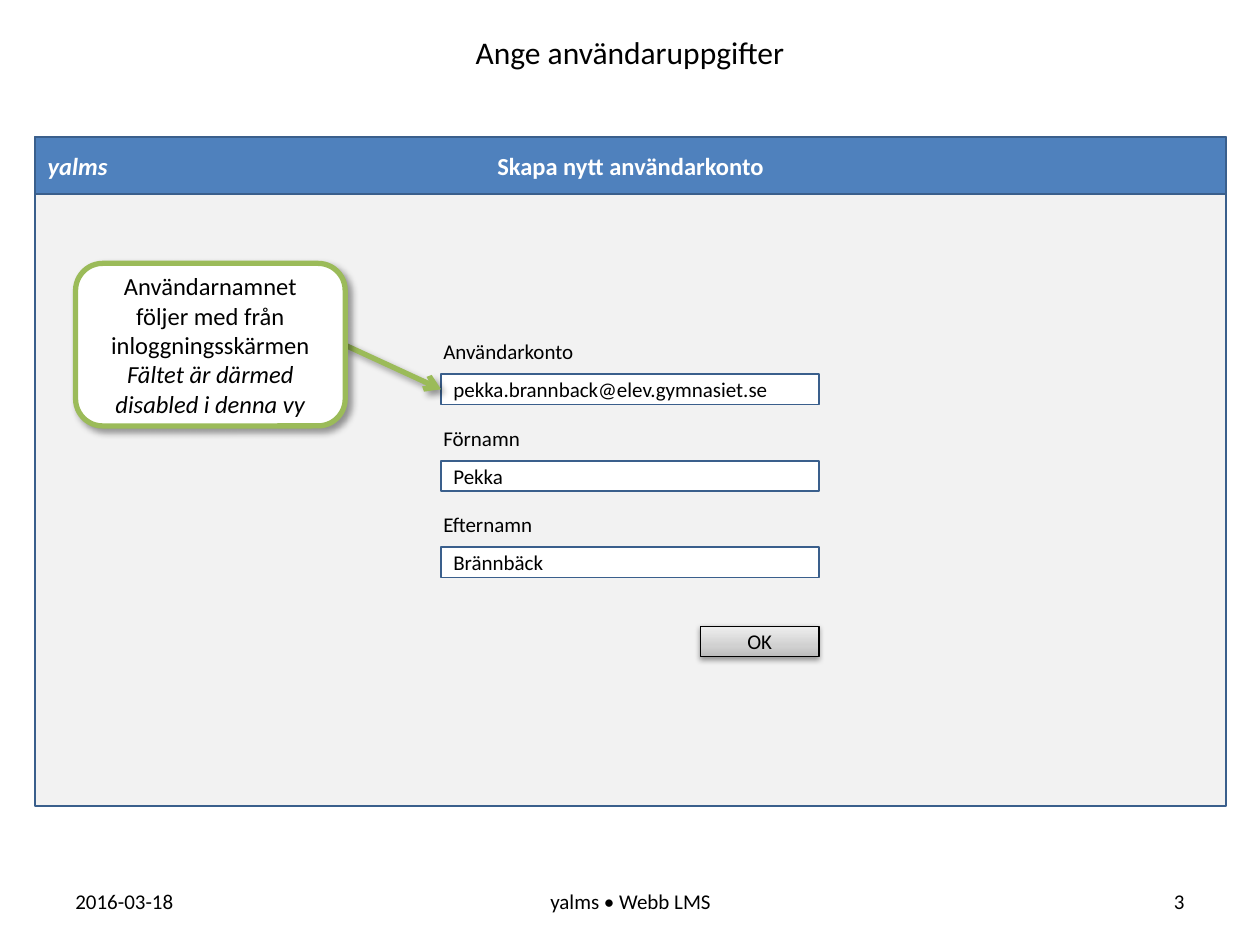
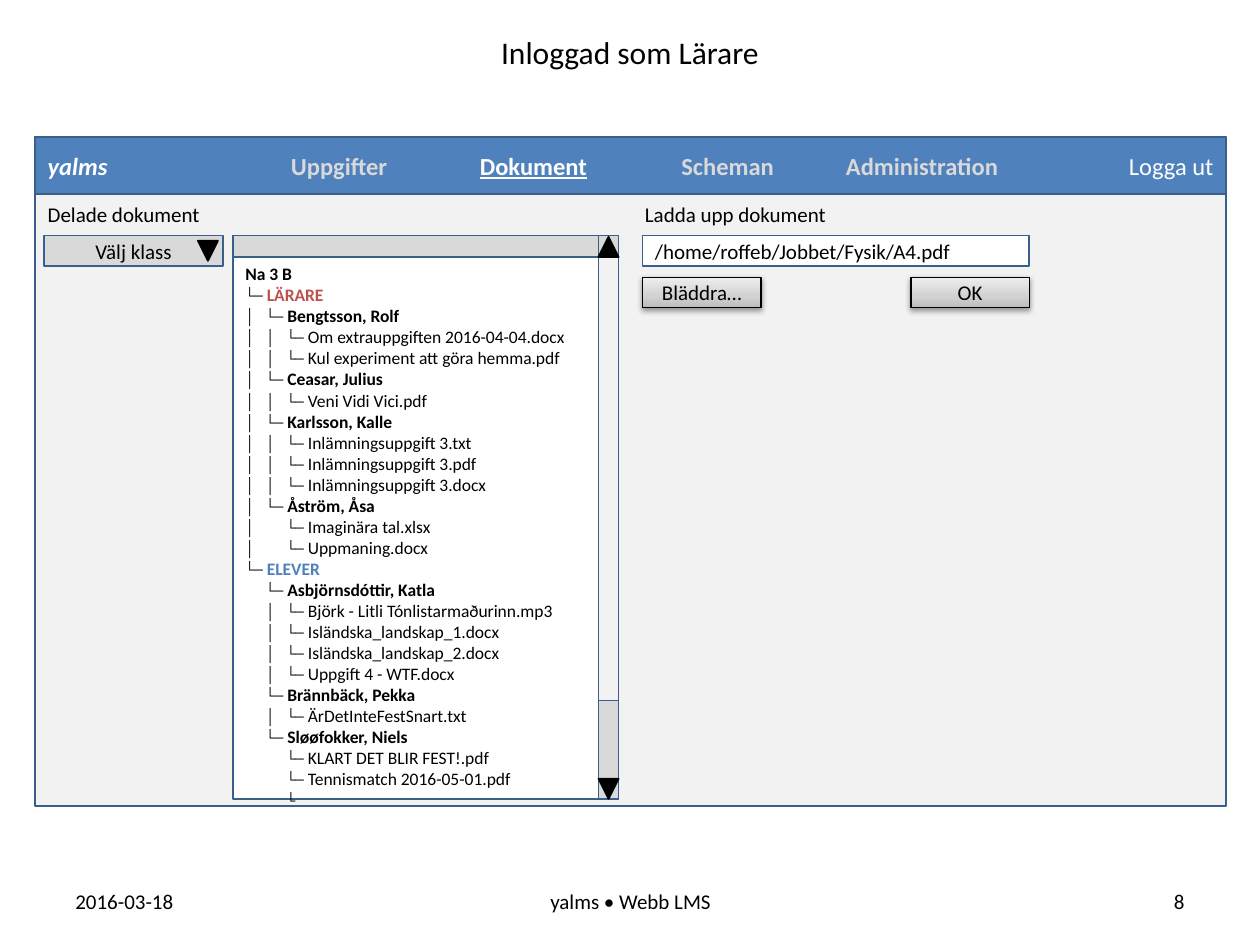
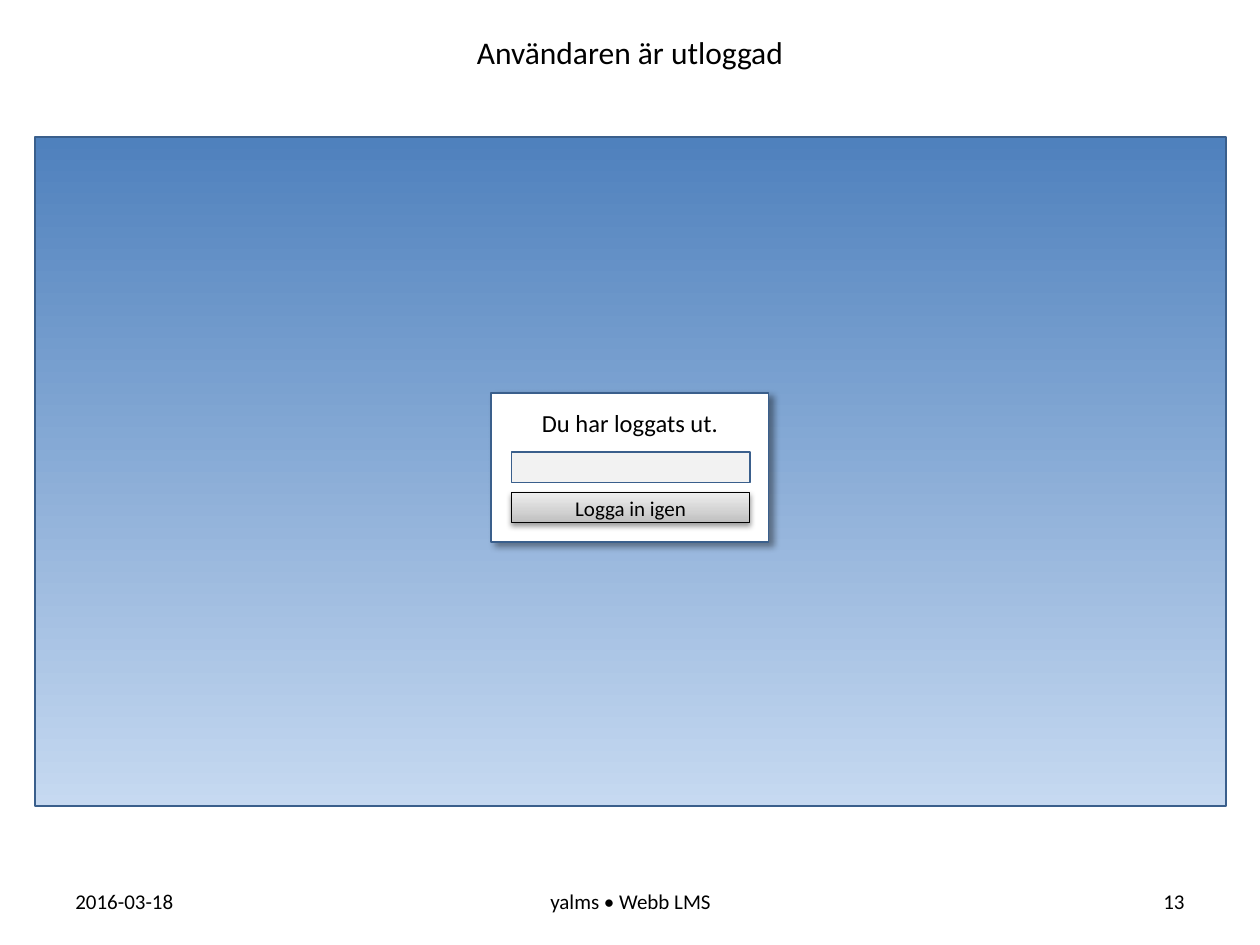
from lxml.etree import SubElement
from pptx import Presentation
from pptx.dml.color import RGBColor
from pptx.enum.shapes import MSO_CONNECTOR, MSO_SHAPE
from pptx.enum.text import MSO_ANCHOR, PP_ALIGN
from pptx.oxml.ns import qn
from pptx.util import Inches, Pt

# Shared look
BLACK = RGBColor(0x00, 0x00, 0x00)
WHITE = RGBColor(0xFF, 0xFF, 0xFF)
PALE = RGBColor(0xF2, 0xF2, 0xF2)
SILVER = RGBColor(0xD9, 0xD9, 0xD9)
GRAY = RGBColor(0x80, 0x80, 0x80)
BLUE = RGBColor(0x4F, 0x81, 0xBD)
NAVY = RGBColor(0x3A, 0x5F, 0x8C)
SKY = RGBColor(0xC6, 0xD9, 0xF1)
GREEN = RGBColor(0x9B, 0xBB, 0x59)
RED = RGBColor(0xC0, 0x50, 0x4D)
BUTTON_STOPS = [(0, RGBColor(0xBD, 0xBD, 0xBD)),
                (35, RGBColor(0xD1, 0xD1, 0xD1)),
                (100, RGBColor(0xEE, 0xEE, 0xEE))]
FONT = "Calibri"
LEFT, CENTER, RIGHT = PP_ALIGN.LEFT, PP_ALIGN.CENTER, PP_ALIGN.RIGHT
# Shadows: opacity in %, blur and distance in points, direction in degrees
SOFT = (38, 3.1, 1.6, 90)
DEEP = (40, 4, 3, 45)

# Grid of 100 columns by 75 rows; each cell is a tenth of an inch
COLS, ROWS = 100, 75
CELL = Inches(10) // COLS
PANEL = (2.8, 10.9, 94.5, 53.1)
BAR_H = 4.5
FIELD_H = 2.4
BUTTON_W = 9.4
ARROW = 1.6      # scroll bar width and triangle size
TAB = 0.163      # inches for each level of the tree

# Children follow each name; a file has none
TREE = ("Na 3 B", [
    ("LÄRARE", [
        ("Bengtsson, Rolf", ["Om extrauppgiften 2016-04-04.docx",
                             "Kul experiment att göra hemma.pdf"]),
        ("Ceasar, Julius", ["Veni Vidi Vici.pdf"]),
        ("Karlsson, Kalle", ["Inlämningsuppgift 3.txt",
                             "Inlämningsuppgift 3.pdf",
                             "Inlämningsuppgift 3.docx"]),
        ("Åström, Åsa", ["Imaginära tal.xlsx", "Uppmaning.docx"]),
    ]),
    ("ELEVER", [
        ("Asbjörnsdóttir, Katla", ["Björk - Litli Tónlistarmaðurinn.mp3",
                                   "Isländska_landskap_1.docx",
                                   "Isländska_landskap_2.docx",
                                   "Uppgift 4 - WTF.docx"]),
        ("Brännbäck, Pekka", ["ÄrDetInteFestSnart.txt"]),
        ("Sløøfokker, Niels", ["KLART DET BLIR FEST!.pdf",
                               "Tennismatch 2016-05-01.pdf", ""]),
    ]),
])
GROUP_COLORS = {"LÄRARE": RED, "ELEVER": BLUE}


def cells(*lengths):
    return [round(n * CELL) for n in lengths]


# Text
def add_run(p, text, size=12, color=BLACK, bold=False, italic=False,
            underline=False, outline=None):
    r = p.add_run()
    r.text = text
    f = r.font
    f.name, f.size = FONT, Pt(size)
    f.bold, f.italic, f.underline = bold, italic, underline
    f.color.rgb = color
    if outline is not None:
        rPr = r._r.get_or_add_rPr()
        ln = SubElement(rPr, qn("a:ln"), w=str(Pt(2.25)))
        SubElement(SubElement(ln, qn("a:solidFill")), qn("a:srgbClr"),
                   val=str(outline))
        rPr.insert(0, ln)


def new_paragraph(tf, align=LEFT):
    p = tf.paragraphs[0]
    if p.runs:
        p = tf.add_paragraph()
    p.alignment = align
    return p


def write(sp, text, align=LEFT, anchor=MSO_ANCHOR.MIDDLE, **fmt):
    tf = sp.text_frame
    tf.word_wrap, tf.vertical_anchor = True, anchor
    add_run(new_paragraph(tf, align), text, **fmt)


def label(s, text, x, y, w, h=3, anchor=MSO_ANCHOR.TOP, **fmt):
    write(s.shapes.add_textbox(*cells(x, y, w, h)), text, anchor=anchor, **fmt)


# Shapes
def set_shadow(spPr, opacity, blur, dist, angle):
    effects = spPr.find(qn("a:effectLst"))
    shade = SubElement(effects, qn("a:outerShdw"), blurRad=str(Pt(blur)),
                       dist=str(Pt(dist)), dir=str(angle * 60000),
                       algn="ctr", rotWithShape="0")
    clr = SubElement(shade, qn("a:srgbClr"), val=str(BLACK))
    SubElement(clr, qn("a:alpha"), val=str(opacity * 1000))


def set_gradient(sp, stops, angle):
    sp.fill.gradient()
    sp.fill.gradient_angle = angle
    gs_lst = sp._element.spPr.find(qn("a:gradFill")).find(qn("a:gsLst"))
    for gs in list(gs_lst):
        gs_lst.remove(gs)
    for pos, color in stops:
        gs = SubElement(gs_lst, qn("a:gs"), pos=str(pos * 1000))
        SubElement(gs, qn("a:srgbClr"), val=str(color))


def box(s, x, y, w, h, fill=WHITE, line=NAVY, width=1, kind=MSO_SHAPE.RECTANGLE,
        shadow=None):
    sp = s.shapes.add_shape(kind, *cells(x, y, w, h))
    sp.fill.solid()
    sp.fill.fore_color.rgb = fill
    sp.line.color.rgb, sp.line.width = line, Pt(width)
    sp.shadow.inherit = False
    if shadow:
        set_shadow(sp._element.spPr, *shadow)
    return sp


def field(s, text, x, y, w):
    write(box(s, x, y, w, FIELD_H), text)


def button(s, text, x, y, w=BUTTON_W):
    sp = box(s, x, y, w, FIELD_H, line=BLACK, width=0.75, shadow=SOFT)
    set_gradient(sp, BUTTON_STOPS, 90)
    write(sp, text, align=CENTER)


def triangle(s, x, y, down=True):
    sp = box(s, x, y, ARROW, ARROW, BLACK, BLACK,
             kind=MSO_SHAPE.ISOSCELES_TRIANGLE)
    sp.rotation = 180 if down else 0


def arrow(s, x1, y1, x2, y2):
    cn = s.shapes.add_connector(MSO_CONNECTOR.STRAIGHT, *cells(x1, y1, x2, y2))
    cn.line.color.rgb, cn.line.width = GREEN, Pt(3)
    SubElement(cn.line._get_or_add_ln(), qn("a:tailEnd"), type="arrow")
    spPr = cn._element.spPr
    SubElement(spPr, qn("a:effectLst"))
    set_shadow(spPr, *DEEP)


# Frame of every slide
def new_slide(prs, title, number):
    s = prs.slides.add_slide(prs.slide_layouts[6])
    for text, x, w, align in [("2016-03-18", 5, 23.3, LEFT),
                              ("yalms • Webb LMS", 34.2, 31.7, CENTER),
                              (str(number), 71.7, 23.3, RIGHT)]:
        label(s, text, x, 69.5, w, 4, anchor=MSO_ANCHOR.MIDDLE, align=align)
    panel = box(s, *PANEL, fill=PALE)
    label(s, title, 0, 2.1, COLS, 4, align=CENTER, size=18)
    return s, panel


def header(s, columns, items):
    """Title bar whose text columns hold one item each."""
    x, y, w, _ = PANEL
    sp = box(s, x, y, w, BAR_H, fill=BLUE)
    sp.text_frame._txBody.bodyPr.set("numCol", str(columns))
    write(sp, "yalms", size=14, color=WHITE, bold=True, italic=True)
    for text, fmt in items:
        write(sp, text, **{"size": 14, "color": WHITE, "bold": True,
                           "align": CENTER, **fmt})


# Document tree
def tree_line(tf, guides, name, depth):
    p = new_paragraph(tf)
    tabs = SubElement(p._p.get_or_add_pPr(), qn("a:tabLst"))
    for level in (1, 2):
        SubElement(tabs, qn("a:tab"), pos=str(Inches(TAB * level)), algn="l")
    is_file = depth == 3
    if guides:
        add_run(p, guides, size=10)
    if depth:
        add_run(p, "└", size=10, outline=None if is_file else GRAY)
    if depth and name:
        add_run(p, "─ ", size=10)
    if name:
        add_run(p, name, size=10, bold=not is_file,
                color=GROUP_COLORS.get(name, BLACK))


def write_tree(tf, node, guides="", depth=0, last=True):
    name, children = (node, []) if isinstance(node, str) else node
    tree_line(tf, guides, name, depth)
    if depth:
        guides += "\t" if last else "│\t"
    for i, child in enumerate(children):
        write_tree(tf, child, guides, depth + 1, i == len(children) - 1)


def document_list(s, x, y, w, h):
    sp = box(s, x, y, w, h)
    tf = sp.text_frame
    tf.word_wrap, tf.vertical_anchor = True, MSO_ANCHOR.TOP
    tf.margin_top = Inches(0.22)
    write_tree(tf, TREE)
    # Heading strip and scroll bar
    bar_x = x + w - ARROW
    box(s, x, y, w, 1.7, fill=SILVER)
    box(s, bar_x, y, ARROW, h, fill=SILVER)
    box(s, bar_x, y + 1.7, ARROW, 35.2, fill=PALE)
    triangle(s, bar_x, y + h - ARROW)
    triangle(s, bar_x, y + 0.1, down=False)


# Slides
def account_slide(prs):
    s, _ = new_slide(prs, "Ange användaruppgifter", 3)
    header(s, 3, [("Skapa nytt användarkonto", {})])
    entries = [("Användarkonto", "pekka.brannback@elev.gymnasiet.se"),
               ("Förnamn", "Pekka"), ("Efternamn", "Brännbäck")]
    for i, (name, value) in enumerate(entries):
        y = 26.4 + 6.87 * i
        label(s, name, 34.2, y, 31.7)
        field(s, value, 35, y + 3.3, 30)
    button(s, "OK", 65 - BUTTON_W, 49.7)
    arrow(s, 27.4, 27.4, 35, 30.9)
    note = box(s, 6, 20.9, 21.4, 12.9, line=GREEN, width=3,
               kind=MSO_SHAPE.ROUNDED_RECTANGLE, shadow=DEEP)
    write(note, "Användarnamnet följer med från inloggningsskärmen",
          align=CENTER, size=14)
    write(note, "Fältet är därmed disabled i denna vy",
          align=CENTER, size=14, italic=True)


def documents_slide(prs):
    s, _ = new_slide(prs, "Inloggad som Lärare", 8)
    idle = {"color": SILVER}
    header(s, 6, [("Uppgifter", idle), ("Dokument", {"underline": True}),
                  ("Scheman", idle), ("Administration", idle),
                  ("Logga ut", {"bold": False, "align": RIGHT})])
    top = 18.7
    # Shared documents
    label(s, "Delade dokument", 2.8, 15.5, 20.1)
    document_list(s, 18.5, top, 30.6, 44.7)
    # Upload
    x, w = 51, 30.7
    label(s, "Ladda upp dokument", 50.2, 15.5, 20.1)
    button(s, "OK", x + w - BUTTON_W, 22)
    button(s, "Bläddra…", x, 22)
    field(s, "/home/roffeb/Jobbet/Fysik/A4.pdf", x, top, w)
    # Class picker
    picker = box(s, 3.5, top, 14.2, FIELD_H, fill=SILVER,
                 kind=MSO_SHAPE.ACTION_BUTTON_CUSTOM)
    write(picker, "Välj klass", align=CENTER)
    triangle(s, 15.7, top + 0.4)


def logout_slide(prs):
    s, panel = new_slide(prs, "Användaren är utloggad", 13)
    set_gradient(panel, [(0, BLUE), (100, SKY)], 270)
    dialog = box(s, 39, 31.2, 22, 11.8, shadow=DEEP)
    dialog.text_frame.margin_top = Inches(0.12)
    write(dialog, "Du har loggats ut.", align=CENTER,
          anchor=MSO_ANCHOR.TOP, size=14)
    box(s, 40.6, 35.9, 18.9, FIELD_H, fill=PALE)
    button(s, "Logga in igen", 40.6, 39.1, 18.9)


def main():
    prs = Presentation()
    prs.slide_width, prs.slide_height = COLS * CELL, ROWS * CELL
    account_slide(prs)
    documents_slide(prs)
    logout_slide(prs)
    prs.save("out.pptx")


main()
